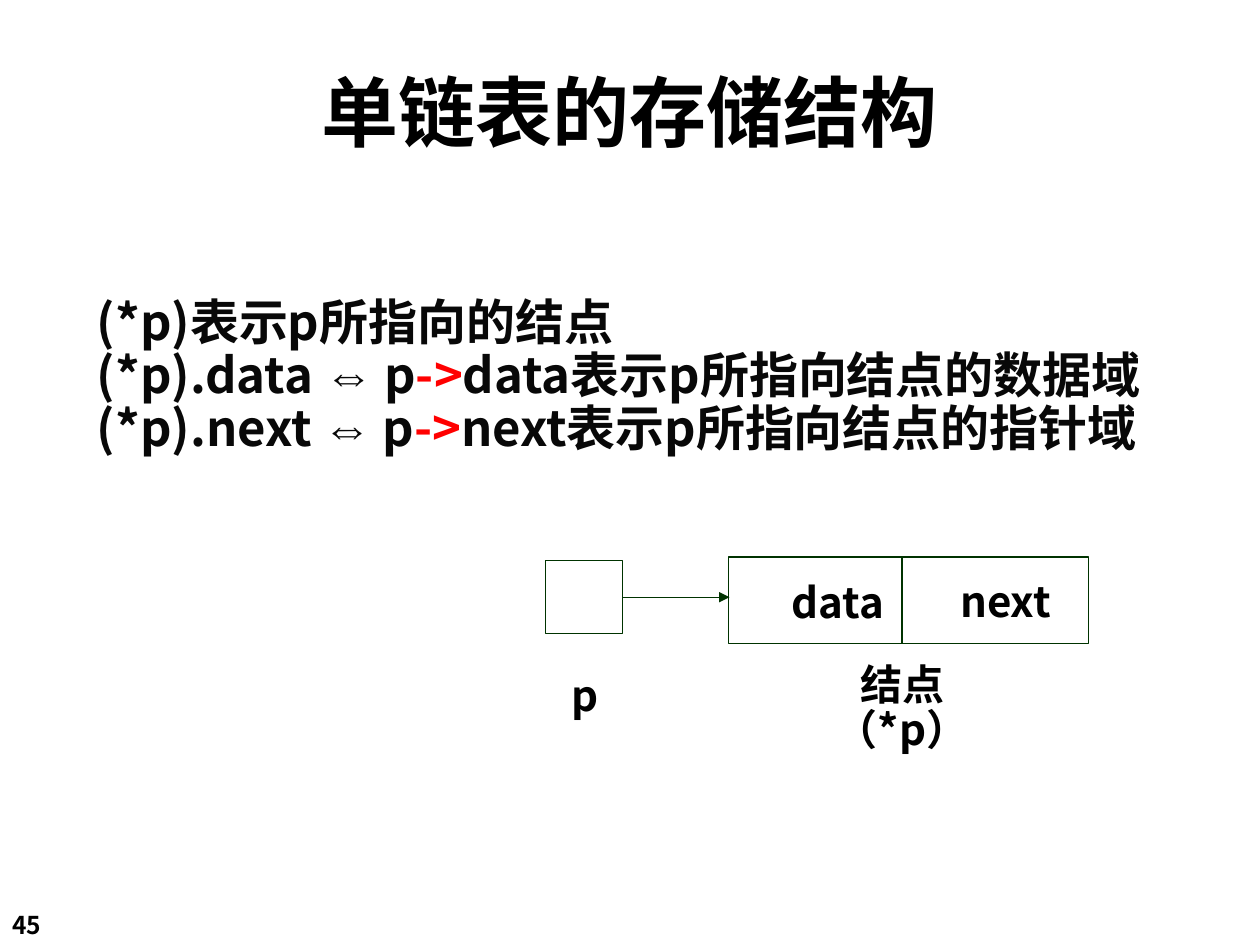
import pptx
import pptx.util
import pptx.dml.color
import pptx.enum.shapes
import pptx.enum.text
import pptx.oxml.ns
import lxml.etree

Inches = pptx.util.Inches
FONT = "Noto Sans CJK SC"
LINE_COLOR = "003300"

deck = pptx.Presentation()
deck.slide_width, deck.slide_height = Inches(10), Inches(7.5)
slide = deck.slides.add_slide(deck.slide_layouts[6])


def rgb(value):
    return pptx.dml.color.RGBColor.from_string(value)


def add_text(text, left, top, width, height, size=24, color="000000", align="CENTER",
             anchor="MIDDLE", spacing=0.9, wrap=False, inset=0.1):
    """text: a string, or a list of lines, each a list of (words, format) runs."""
    frame = slide.shapes.add_textbox(Inches(left), Inches(top),
                                     Inches(width), Inches(height)).text_frame
    frame.word_wrap = wrap
    frame.margin_left = frame.margin_right = Inches(inset)
    frame.vertical_anchor = getattr(pptx.enum.text.MSO_ANCHOR, anchor)
    lines = [[(text, {})]] if isinstance(text, str) else text
    for index, runs in enumerate(lines):
        paragraph = frame.add_paragraph() if index else frame.paragraphs[0]
        paragraph.alignment = getattr(pptx.enum.text.PP_ALIGN, align)
        paragraph.line_spacing = spacing
        for words, style in runs:
            run = paragraph.add_run()
            run.text = words
            run.font.size = pptx.util.Pt(size)
            run.font.bold = True
            run.font.color.rgb = rgb(style.get("color", color))
            run.font.name = style.get("font", FONT)
            east_asian = lxml.etree.SubElement(run.font._element, pptx.oxml.ns.qn("a:ea"))
            east_asian.set("typeface", run.font.name)


# Page number and title
add_text("45", 0, 7.17, 0.83, 0.34, size=14, align="LEFT", anchor="TOP", spacing=1, wrap=True)
add_text("单链表的存储结构", 0.33, 0.25, 9.34, 1.25, size=44, spacing=1, wrap=True)

# Pointer box and node box
for left, top, width, height in [(4.33, 4.45, 0.61, 0.58), (5.78, 4.42, 2.86, 0.69)]:
    box = slide.shapes.add_shape(pptx.enum.shapes.MSO_SHAPE.RECTANGLE, Inches(left),
                                 Inches(top), Inches(width), Inches(height))
    box.shadow.inherit = False
    box.fill.background()
    box.line.color.rgb = rgb(LINE_COLOR)
    box.line.width = pptx.util.Pt(0.75)

# Field divider, and arrow from pointer to node
for x1, y1, x2, y2, arrow in [(7.16, 4.43, 7.16, 5.11, False),
                              (4.94, 4.74, 5.79, 4.74, True)]:
    link = slide.shapes.add_connector(pptx.enum.shapes.MSO_CONNECTOR.STRAIGHT, Inches(x1),
                                      Inches(y1), Inches(x2), Inches(y2))
    link.line.color.rgb = rgb(LINE_COLOR)
    link.line.width = pptx.util.Pt(0.75)
    if arrow:
        tail = lxml.etree.SubElement(link.line._get_or_add_ln(), pptx.oxml.ns.qn("a:tailEnd"))
        tail.set("type", "triangle")
    lxml.etree.SubElement(link._element.spPr, pptx.oxml.ns.qn("a:effectLst"))

# Diagram labels; the node label wraps before its parenthesis
add_text("data", 6.15, 4.57, 1, 0.46)
add_text("next", 7.48, 4.56, 1, 0.46)
add_text("p", 4.44, 5.31, 0.4, 0.46)
add_text("结点（*p）", 6.13, 5.25, 2.06, 0.76, wrap=True, inset=0.35)

# Explanation of the pointer notation
explanation = [[("(*p)表示p所指向的结点", {})]]
for field, meaning in [("data", "数据域"), ("next", "指针域")]:
    explanation.append([
        (f"(*p).{field} ", {}),
        ("⇔", {"font": "Arial"}),
        (" p", {}),
        ("->", {"color": "FF0000"}),
        (f"{field}表示p所指向结点的{meaning}", {}),
    ])
add_text(explanation, 0.67, 1.9, 9.17, 2.2, size=28, color="080808", align="LEFT", wrap=True)

deck.save("out.pptx")
